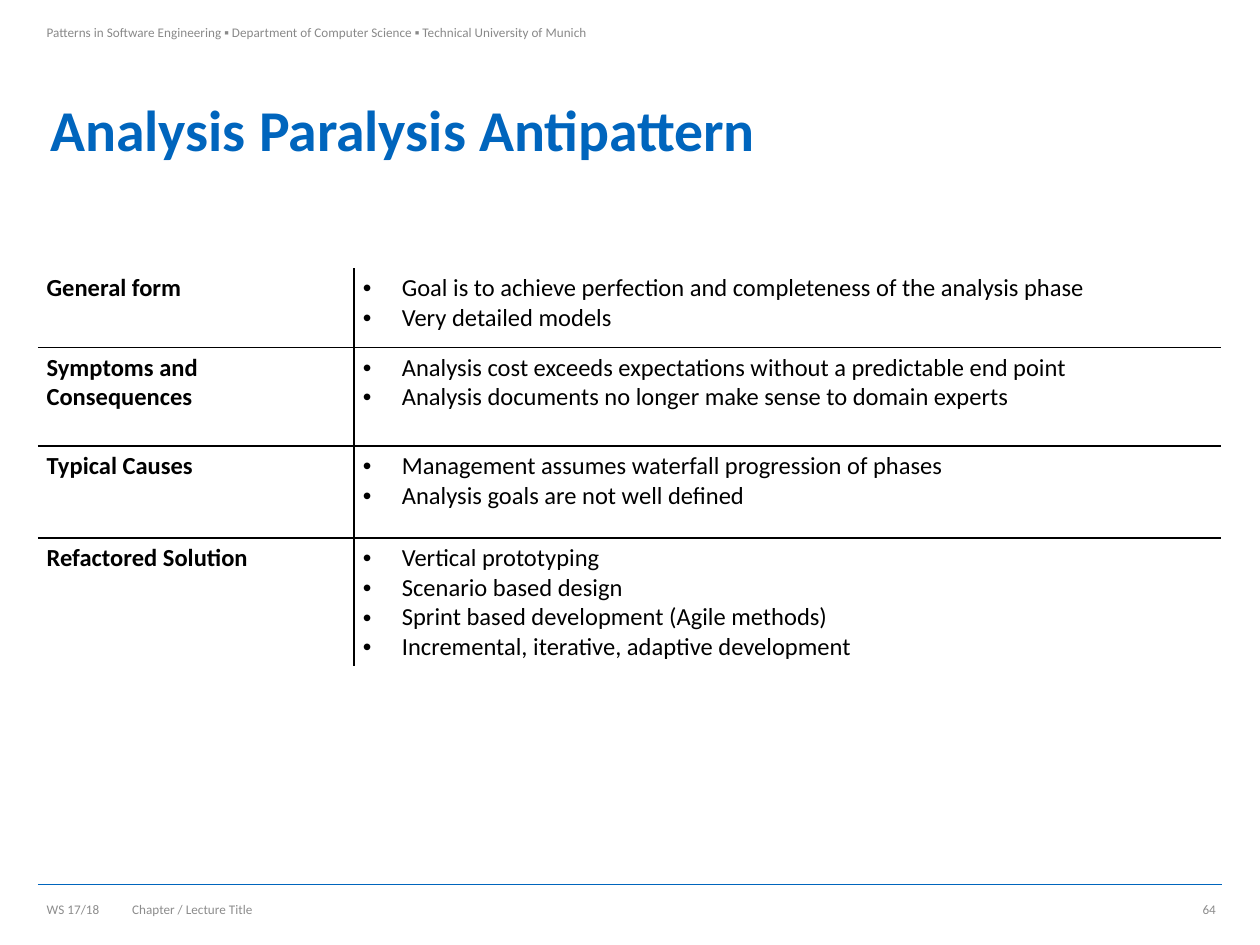
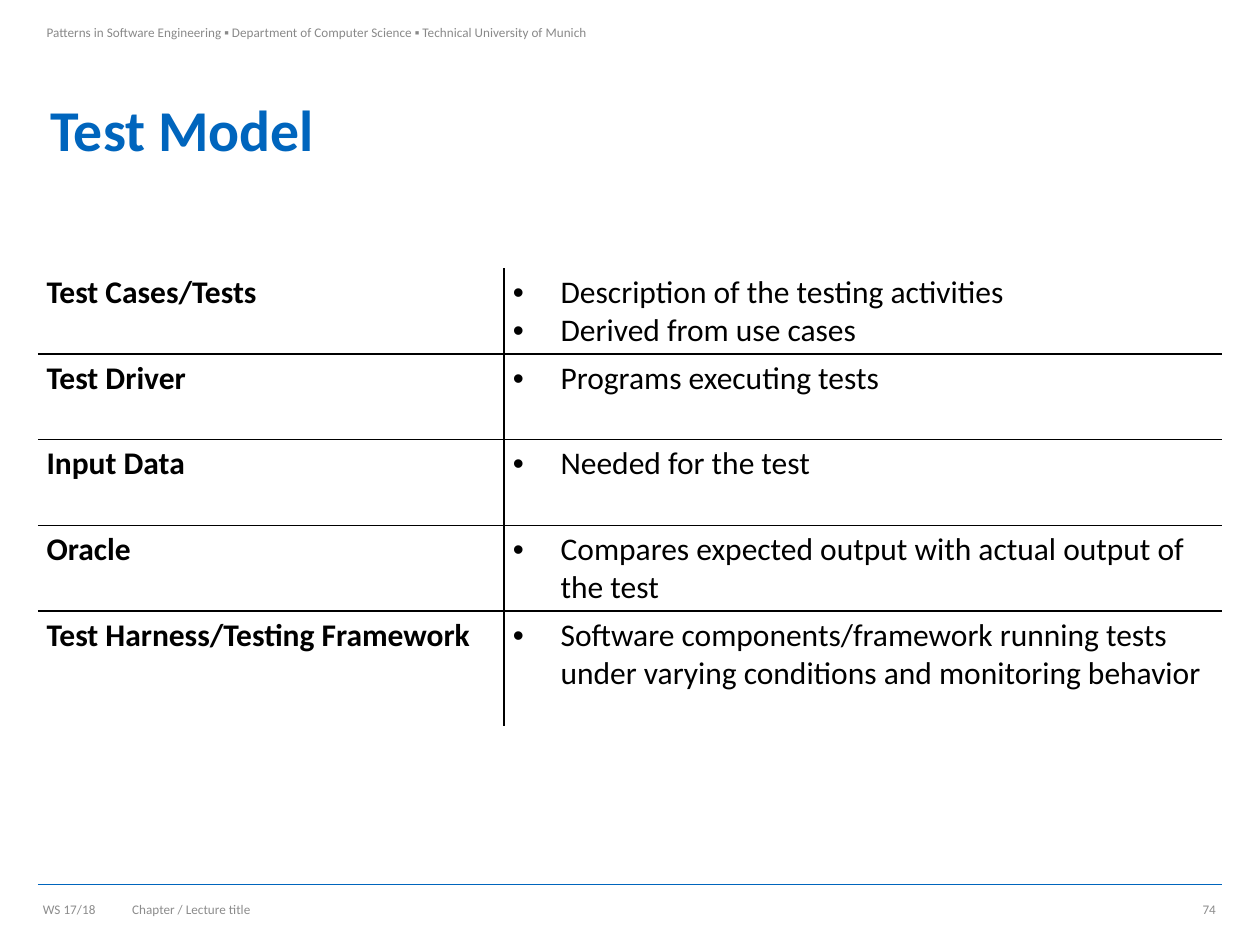
from dataclasses import dataclass
from typing import Any, NamedTuple

from lxml import etree
from pptx import Presentation
from pptx import util as u
from pptx.dml.color import RGBColor
from pptx.enum import shapes, text
from pptx.oxml.ns import qn

# Grid: 100 columns by 75 rows of square units on a 10 x 7.5 inch slide
COLUMNS, ROWS = 100, 75
UNIT = u.Inches(0.1)
LEFT, RIGHT = 3, 97
CONTENT_WIDTH = 93.9
TABLE_TOP = 21.3
FOOTER_TOP, FOOTER_HEIGHT = 71, 2.3

# Shared look
FONT = "Calibri"
BLUE, BLACK, HEADER_GREY, FOOTER_GREY = "0065BD", "000000", "898989", "8C8C8C"
TITLE_FONT = {"size": u.Pt(33), "bold": True}
SMALL_FONT = {"size": u.Pt(7.5), "bold": False}
RULE_WIDTH, BORDER_WIDTH = u.Pt(0.5), u.Pt(1)
CELL_MARGINS = (0.7, 0.4, 0.7, 0.4)
FOOTER_MARGINS = (0.4, 0.5, 0.4, 0.5)
PLAIN_MARGINS = (1, 0.5, 1, 0.5)
COURSE = ("Patterns in Software Engineering ▪ Department of Computer Science"
          " ▪ Technical University of Munich")


class Box(NamedTuple):
    left: float
    top: float
    width: float
    height: float


class Topic(NamedTuple):
    name: str
    points: list[str]
    height: float


@dataclass
class TopicSlide:
    title: str
    topics: list[Topic]
    name_width: float
    points_width: float
    size: float
    indent: float
    number: str
    chapter: str
    term_align: Any


def grid(units: float) -> int:
    return round(units * UNIT)


def colour(hex_code: str) -> RGBColor:
    return RGBColor.from_string(hex_code)


def apply(target: Any, values: dict[str, Any]) -> None:
    for name, value in values.items():
        setattr(target, name, value)


def margins(sides: tuple[float, ...]) -> dict[str, int]:
    names = ("margin_left", "margin_top", "margin_right", "margin_bottom")
    return {name: grid(side) for name, side in zip(names, sides)}


def write(paragraph: Any, words: str, font: dict[str, Any], hex_code: str) -> None:
    run = paragraph.add_run()
    run.text = words
    apply(run.font, {"name": FONT, **font})
    run.font.color.rgb = colour(hex_code)


def add_label(slide: Any, box: Box, words: str, hex_code: str,
              sides: tuple[float, ...], anchor: Any = text.MSO_ANCHOR.MIDDLE,
              align: Any = text.PP_ALIGN.LEFT) -> None:
    frame = slide.shapes.add_textbox(*map(grid, box)).text_frame
    apply(frame, {"word_wrap": True, "vertical_anchor": anchor, **margins(sides)})
    frame.paragraphs[0].alignment = align
    write(frame.paragraphs[0], words, SMALL_FONT, hex_code)


def add_rule(slide: Any) -> None:
    rule = slide.shapes.add_connector(
        shapes.MSO_CONNECTOR.STRAIGHT, *map(grid, (LEFT, 70.2, RIGHT, 70.2)))
    rule.line.color.rgb = colour(BLUE)
    rule.line.width = RULE_WIDTH
    etree.SubElement(rule._element.spPr, qn("a:effectLst"))


def add_frame(slide: Any, content: TopicSlide) -> None:
    """Header, footer and title common to every slide."""
    add_rule(slide)
    add_label(slide, Box(LEFT, 0, 47, 6.8), COURSE, HEADER_GREY,
              (0.7, 1.9, 1, 0.5), text.MSO_ANCHOR.TOP)

    title = slide.shapes.title
    place = Box(LEFT, 6.8, CONTENT_WIDTH, 7.4)
    apply(title, {side: grid(units) for side, units in place._asdict().items()})
    apply(title.text_frame, {
        "vertical_anchor": text.MSO_ANCHOR.MIDDLE, "word_wrap": True,
        "auto_size": text.MSO_AUTO_SIZE.NONE, **margins(PLAIN_MARGINS)})
    heading = title.text_frame.paragraphs[0]
    apply(heading, {"alignment": text.PP_ALIGN.LEFT, "line_spacing": 0.9})
    write(heading, content.title, TITLE_FONT, BLUE)

    add_label(slide, Box(LEFT, FOOTER_TOP, 5.6, FOOTER_HEIGHT), "WS 17/18",
              FOOTER_GREY, FOOTER_MARGINS, align=content.term_align)
    add_label(slide, Box(92.5, FOOTER_TOP, 4.4, FOOTER_HEIGHT), content.number,
              FOOTER_GREY, FOOTER_MARGINS, align=text.PP_ALIGN.RIGHT)
    add_label(slide, Box(9.5, FOOTER_TOP, 64.6, FOOTER_HEIGHT), content.chapter,
              FOOTER_GREY, PLAIN_MARGINS)


def set_borders(cell: Any, drawn: dict[str, bool]) -> None:
    """Draw the named sides in black and clear the others."""
    properties = cell._tc.get_or_add_tcPr()
    for side in ("L", "R", "T", "B"):
        border = etree.SubElement(properties, qn(f"a:ln{side}"), w=str(BORDER_WIDTH))
        if drawn[side]:
            fill = etree.SubElement(border, qn("a:solidFill"))
            etree.SubElement(fill, qn("a:srgbClr"), val=BLACK)
        else:
            etree.SubElement(border, qn("a:noFill"))


def add_bullet(paragraph: Any, indent: float) -> None:
    properties = paragraph._p.get_or_add_pPr()
    properties.set("marL", str(grid(indent)))
    properties.set("indent", str(-grid(indent)))
    etree.SubElement(properties, qn("a:buFont"), typeface="Arial")
    etree.SubElement(properties, qn("a:buChar"), char="•")


def add_topics(slide: Any, content: TopicSlide) -> None:
    topics = content.topics
    widths = (content.name_width, content.points_width)
    place = Box(LEFT, TABLE_TOP, sum(widths), sum(topic.height for topic in topics))
    table = slide.shapes.add_table(len(topics), len(widths), *map(grid, place)).table
    apply(table, {"first_row": False, "horz_banding": False})
    for column, width in zip(table.columns, widths):
        column.width = grid(width)

    for index, topic in enumerate(topics):
        table.rows[index].height = grid(topic.height)
        for column, lines in enumerate(([topic.name], topic.points)):
            cell = table.cell(index, column)
            # Only the inner grid lines show
            set_borders(cell, {"L": column > 0, "R": column == 0,
                               "T": index > 0, "B": index < len(topics) - 1})
            cell.fill.background()
            apply(cell, margins(CELL_MARGINS))
            frame = cell.text_frame
            for number, line in enumerate(lines):
                paragraph = frame.add_paragraph() if number else frame.paragraphs[0]
                if column:
                    add_bullet(paragraph, content.indent)
                write(paragraph, line,
                      {"size": u.Pt(content.size), "bold": column == 0}, BLACK)


# Content
SLIDES = [
    TopicSlide(
        "Analysis Paralysis Antipattern",
        [
            Topic("General form", [
                "Goal is to achieve perfection and completeness of the analysis phase",
                "Very detailed models"], 6.3),
            Topic("Symptoms and Consequences", [
                "Analysis cost exceeds expectations without a predictable end point",
                "Analysis documents no longer make sense to domain experts"], 7.8),
            Topic("Typical Causes", [
                "Management assumes waterfall progression of phases",
                "Analysis goals are not well defined"], 7.3),
            Topic("Refactored Solution", [
                "Vertical prototyping",
                "Scenario based design",
                "Sprint based development (Agile methods)",
                "Incremental, iterative, adaptive development"], 9.7),
        ],
        name_width=25.1, points_width=68.8, size=14, indent=3.1,
        number="64", chapter="Chapter / Lecture Title",
        term_align=text.PP_ALIGN.CENTER),
    TopicSlide(
        "Test Model",
        [
            Topic("Test Cases/Tests", [
                "Description of the testing activities",
                "Derived from use cases"], 6.8),
            Topic("Test Driver", ["Programs executing tests"], 6.8),
            Topic("Input Data", ["Needed for the test"], 6.8),
            Topic("Oracle", [
                "Compares expected output with actual output of the test"], 6.8),
            Topic("Test Harness/Testing Framework", [
                "Software components/framework running tests under varying"
                " conditions and monitoring behavior"], 9.1),
        ],
        name_width=37, points_width=57, size=18, indent=3.8,
        number="74", chapter="Chapter / Lecture title",
        term_align=text.PP_ALIGN.LEFT),
]

# Build
deck = Presentation()
apply(deck, {"slide_width": grid(COLUMNS), "slide_height": grid(ROWS)})
title_only = deck.slide_layouts.get_by_name("Title Only")
for topic_slide in SLIDES:
    page = deck.slides.add_slide(title_only)
    add_frame(page, topic_slide)
    add_topics(page, topic_slide)
deck.save("out.pptx")
